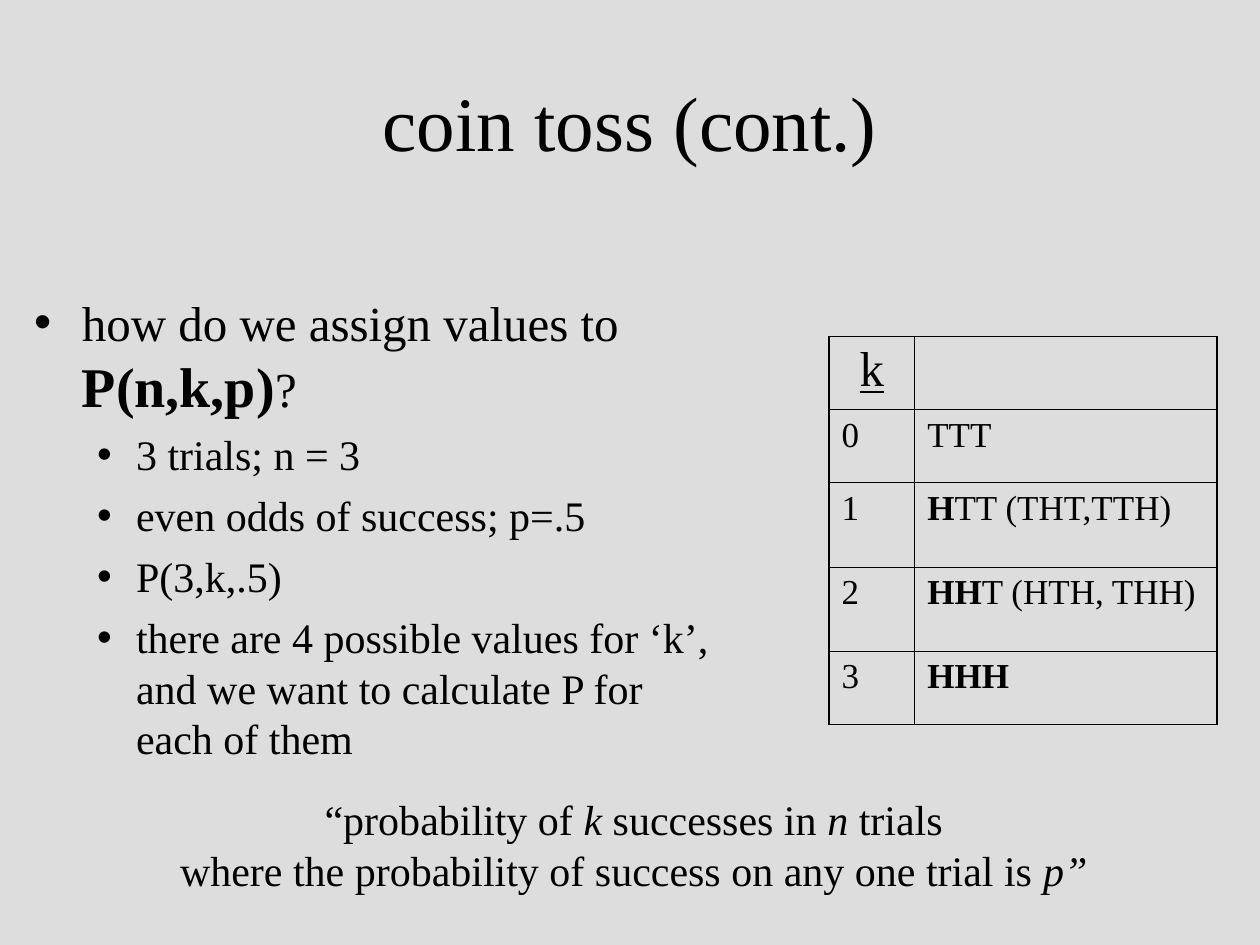
"""Build the coin toss slide with its bullet list, outcome table and caption."""
from dataclasses import dataclass

from lxml import etree
from pptx import Presentation
from pptx.dml.color import RGBColor
from pptx.enum import text
from pptx.oxml import ns
from pptx.util import Inches, Pt


@dataclass(frozen=True)
class Theme:
    font: str = "Times New Roman"
    ink: RGBColor = RGBColor(0, 0, 0)
    background: RGBColor = RGBColor(0xDD, 0xDD, 0xDD)
    title: int = 44
    formula: int = 32
    lead: int = 28
    detail: int = 24
    cell: int = 20
    outer_line: float = 1.08
    inner_line: float = 0.45


theme = Theme()


def write(paragraph, pieces, size, before=0, align=text.PP_ALIGN.LEFT):
    paragraph.alignment = align
    paragraph.space_before = Pt(before)
    paragraph.font.name = theme.font
    paragraph.font.size = Pt(size)
    paragraph.font.color.rgb = theme.ink
    for words, style in pieces:
        if words == "\n":
            paragraph.add_line_break()
            continue
        run = paragraph.add_run()
        run.text = words
        for name, value in style.items():
            setattr(run.font, name, value)


def add_border(cell, side, position, width):
    line = etree.Element(ns.qn(f"a:ln{side}"), w=str(Pt(width)))
    fill = etree.SubElement(line, ns.qn("a:solidFill"))
    etree.SubElement(fill, ns.qn("a:srgbClr"), val=str(theme.ink))
    cell._tc.get_or_add_tcPr().insert(position, line)


presentation = Presentation()
presentation.slide_width, presentation.slide_height = Inches(10), Inches(7.5)
slide = presentation.slides.add_slide(presentation.slide_layouts[1])
slide.background.fill.solid()
slide.background.fill.fore_color.rgb = theme.background
plain, bold, italic = {}, {"bold": True}, {"italic": True}

title, body = slide.placeholders
title.left, title.top, title.width, title.height = map(Inches, (0.75, 0.33, 8.5, 1.25))
title.text_frame.vertical_anchor = text.MSO_ANCHOR.MIDDLE
title.text_frame.auto_size = text.MSO_AUTO_SIZE.NONE
write(title.text_frame.paragraphs[0], [("coin toss (cont.)", plain)], theme.title,
      align=text.PP_ALIGN.CENTER)

body.left, body.top, body.width, body.height = map(Inches, (0.17, 2.17, 5.67, 4.5))
body.text_frame.auto_size = text.MSO_AUTO_SIZE.NONE
question = [("how do we assign values to ", plain),
            ("P(n,k,p)", {"bold": True, "size": Pt(theme.formula)}), ("?", plain)]
details = ["3 trials; n = 3", "even odds of success; p=.5", "P(3,k,.5)",
           "there are 4 possible values for ‘k’, and we want to calculate P for each of them"]
bullets = [(0, question)] + [(1, [(detail, plain)]) for detail in details]
level_styles = [(theme.lead, 7, 0.38, 0.38), (theme.detail, 6, 0.81, 0.31)]
for index, (level, pieces) in enumerate(bullets):
    frame = body.text_frame
    paragraph = frame.add_paragraph() if index else frame.paragraphs[0]
    size, before, margin, hanging = level_styles[level]
    paragraph.level = level
    properties = paragraph._p.get_or_add_pPr()
    properties.set("marL", str(Inches(margin)))
    properties.set("indent", str(-Inches(hanging)))
    color = etree.SubElement(properties, ns.qn("a:buClr"))
    etree.SubElement(color, ns.qn("a:srgbClr"), val=str(theme.ink))
    etree.SubElement(properties, ns.qn("a:buChar"), char="•")
    write(paragraph, pieces, size, before if index else 0)
body.text_frame.margin_top = Inches(0.15)

outcomes = [
    ([("k", {"underline": True})], []),
    ([("0", plain)], [("TTT", plain)]),
    ([("1", plain)], [("H", bold), ("TT (THT,TTH)", plain)]),
    ([("2", plain)], [("HH", bold), ("T (HTH, THH)", plain)]),
    ([("3", plain)], [("HHH", bold)]),
]
table = slide.shapes.add_table(5, 2, Inches(6.58), Inches(2.67), Inches(3.08), Inches(3.08)).table
table.first_row = table.horz_banding = False
for column, width in zip(table.columns, (0.68, 2.4)):
    column.width = Inches(width)
for row, height in zip(table.rows, (0.58, 0.58, 0.67, 0.67, 0.58)):
    row.height = Inches(height)
for row_index, row_pieces in enumerate(outcomes):
    for column_index, pieces in enumerate(row_pieces):
        cell = table.cell(row_index, column_index)
        cell.fill.background()
        edges = [("L", column_index == 0), ("R", column_index == 1),
                 ("T", row_index == 0), ("B", row_index == len(outcomes) - 1)]
        for position, (side, outer) in enumerate(edges):
            add_border(cell, side, position, theme.outer_line if outer else theme.inner_line)
        header = row_index == 0
        write(cell.text_frame.paragraphs[0], pieces, theme.lead if header else theme.cell,
              align=text.PP_ALIGN.CENTER if header else text.PP_ALIGN.LEFT)

caption = slide.shapes.add_textbox(Inches(1.33), Inches(6.25), Inches(7.4), Inches(0.9))
caption.text_frame.word_wrap = False
caption.text_frame.auto_size = text.MSO_AUTO_SIZE.SHAPE_TO_FIT_TEXT
write(caption.text_frame.paragraphs[0],
      [("“probability of ", plain), ("k", italic), (" successes in ", plain), ("n", italic),
       (" trials", plain), ("\n", plain),
       ("where the probability of success on any one trial is ", plain), ("p”", italic)],
      theme.detail, align=text.PP_ALIGN.CENTER)

presentation.save("out.pptx")
